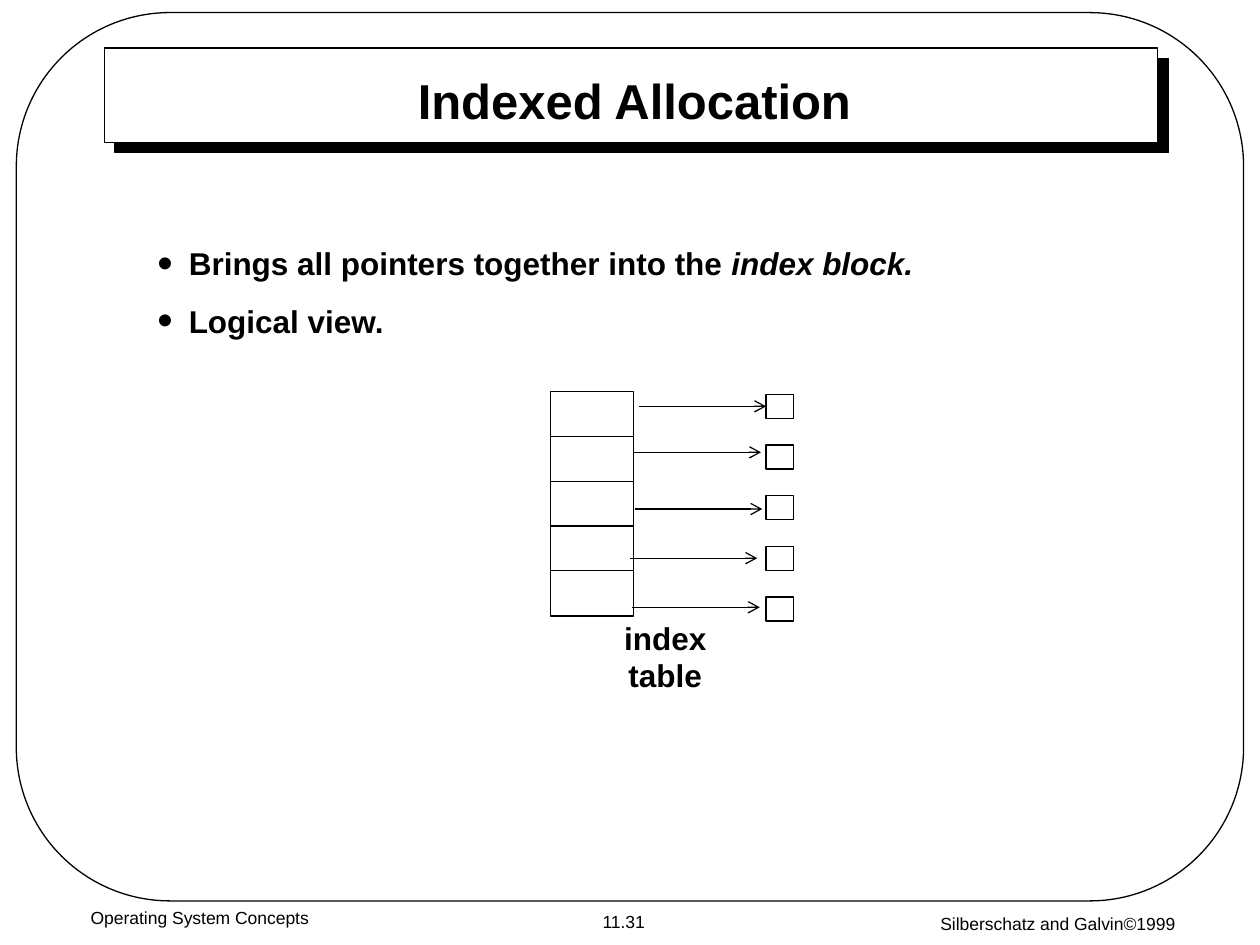
from lxml import etree
from pptx import Presentation
from pptx.dml.color import RGBColor
from pptx.enum.shapes import MSO_CONNECTOR as CONNECTOR, MSO_SHAPE as SHAPE
from pptx.enum.text import MSO_ANCHOR as ANCHOR, PP_ALIGN as ALIGN
from pptx.oxml.ns import qn
from pptx.util import Inches, Pt

COLORS = {"ink": "000000", "paper": "FFFFFF"}
FONT = "Arial"


def color(name):
    return RGBColor.from_string(COLORS[name])


def add_box(slide, left, top, width, height, kind=SHAPE.RECTANGLE, filled=True):
    box = slide.shapes.add_shape(
        kind, Inches(left), Inches(top), Inches(width), Inches(height))
    box.shadow.inherit = False
    if filled:
        box.fill.solid()
        box.fill.fore_color.rgb = color("paper")
    else:
        box.fill.background()
    box.line.color.rgb = color("ink")
    box.line.width = Pt(0.75)
    return box


def style_run(run, size, bold=False, italic=False):
    run.font.name = FONT
    run.font.size = Pt(size)
    run.font.bold = bold
    run.font.italic = italic
    run.font.color.rgb = color("ink")


def add_label(slide, left, top, width, height, text, size,
              bold=False, anchor=ANCHOR.MIDDLE, before=0):
    label = slide.shapes.add_textbox(
        Inches(left), Inches(top), Inches(width), Inches(height))
    frame = label.text_frame
    frame.word_wrap = True
    frame.vertical_anchor = anchor
    frame.text = text
    line = frame.paragraphs[0]
    line.alignment = ALIGN.CENTER
    line.space_before = Pt(before)
    style_run(line.runs[0], size, bold)


def add_arrow(slide, start_x, end_x, y):
    arrow = slide.shapes.add_connector(
        CONNECTOR.STRAIGHT, Inches(start_x), Inches(y), Inches(end_x), Inches(y))
    arrow.line.color.rgb = color("ink")
    arrow.line.width = Pt(0.75)
    etree.SubElement(arrow.line._get_or_add_ln(), qn("a:tailEnd"), type="arrow")
    etree.SubElement(arrow._element.spPr, qn("a:effectLst"))
    return arrow


def add_frame_and_footer(slide, left, top, width, height):
    border = add_box(slide, left, top, width, height,
                     SHAPE.ROUNDED_RECTANGLE, filled=False)
    border.adjustments[0] = 0.173
    bottom = top + height
    add_label(slide, 0, bottom, 3.17, 0.35, "Operating System Concepts", 10,
              anchor=ANCHOR.TOP)
    add_label(slide, 4.44, bottom + 0.03, 1.02, 0.27, "11.31", 10, before=6.2)
    add_label(slide, 6.81, bottom + 0.05, 3.17, 0.3,
              "Silberschatz and Galvin©1999", 10, anchor=ANCHOR.TOP)


def add_title(slide, left, top, width, height):
    banner = add_box(slide, left, top, width, height)
    # Hard drop shadow, down and to the right
    effects = banner._element.spPr.find(qn("a:effectLst"))
    shadow = etree.SubElement(
        effects, qn("a:outerShdw"), blurRad="0", dist=str(Pt(8.5)),
        dir=str(45 * 60000), algn="ctr", rotWithShape="0")
    etree.SubElement(shadow, qn("a:srgbClr"), val=COLORS["ink"])
    add_label(slide, left + 0.44, top + 0.16, 7.53, 0.5,
              "Indexed Allocation", 28, bold=True)


def add_bullets(slide, left, top, width, height, items):
    body = slide.shapes.add_textbox(
        Inches(left), Inches(top), Inches(width), Inches(height))
    frame = body.text_frame
    frame.word_wrap = True
    for i, (plain, emphasis) in enumerate(items):
        item = frame.paragraphs[0] if i == 0 else frame.add_paragraph()
        item.text = plain
        style_run(item.runs[0], 18, bold=True)
        if emphasis:
            run = item.add_run()
            run.text = emphasis
            style_run(run, 18, bold=True, italic=True)
        item.space_before = Pt(11.2)
        props = item._p.get_or_add_pPr()
        props.set("marL", str(Inches(0.25)))
        props.set("indent", str(Inches(-0.25)))
        bullet_color = etree.SubElement(props, qn("a:buClr"))
        etree.SubElement(bullet_color, qn("a:srgbClr"), val=COLORS["ink"])
        etree.SubElement(props, qn("a:buSzPct"), val="140000")
        etree.SubElement(props, qn("a:buFont"), typeface=FONT)
        etree.SubElement(props, qn("a:buChar"), char="•")


def add_index_diagram(slide, left, top):
    entry_pitch, block_pitch = 0.355, 0.402
    block_left, block_height = left + 1.71, 0.19
    # Start of each arrow, relative to the diagram's corner
    arrow_starts = [(0.7, 0.115), (0.66, 0.48), (0.67, 0.93),
                    (0.63, 1.32), (0.65, 1.71)]
    for i in range(len(arrow_starts)):
        add_box(slide, left, top + i * entry_pitch, 0.66, 0.36)
    blocks = [add_box(slide, block_left, top + 0.02 + i * block_pitch,
                      0.22, block_height)
              for i in range(len(arrow_starts))]
    arrows = [add_arrow(slide, left + x, left + x + 1.01, top + y)
              for x, y in arrow_starts]
    arrows[0].end_connect(blocks[0], 1)
    add_label(slide, left + 0.16, top + 1.9, 1.5, 0.4, "index table", 18,
              bold=True, before=11.2)


def main():
    deck = Presentation()
    deck.slide_width, deck.slide_height = Inches(10), Inches(7.5)
    slide = deck.slides.add_slide(deck.slide_layouts[6])
    add_frame_and_footer(slide, 0.13, 0.1, 9.74, 7.05)
    add_title(slide, 0.83, 0.38, 8.36, 0.75)
    add_bullets(slide, 1.15, 1.89, 7.69, 0.93, [
        ("Brings all pointers together into the ", "index block."),
        ("Logical view.", ""),
    ])
    add_index_diagram(slide, 4.37, 3.11)
    deck.save("out.pptx")


if __name__ == "__main__":
    main()
